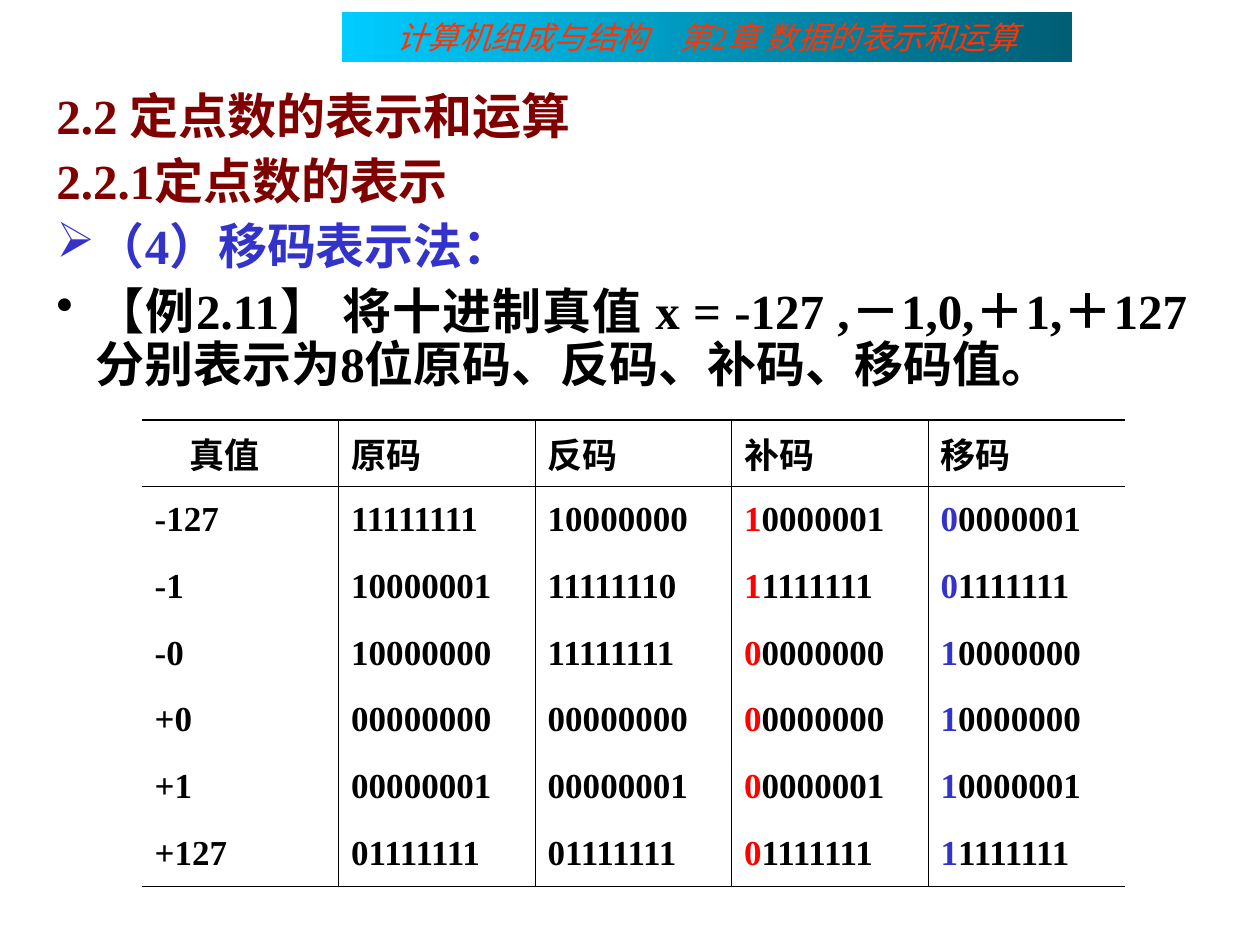
from lxml import etree
from pptx import Presentation
from pptx import util as u
from pptx.dml.color import RGBColor
from pptx.enum import shapes, text
from pptx.oxml import ns

BLACK = RGBColor(0x00, 0x00, 0x00)
RED = RGBColor(0xFF, 0x00, 0x00)
BLUE = RGBColor(0x33, 0x33, 0xCC)
MAROON = RGBColor(0x80, 0x00, 0x00)
ORANGE = RGBColor(0xFF, 0x33, 0x00)
CYAN = RGBColor(0x00, 0xCC, 0xFF)
TEAL = RGBColor(0x00, 0x5E, 0x75)

HEADINGS = ["　真值", "原码", "反码", "补码", "移码"]
CODES = [
    ["-127", "11111111", "10000000", "10000001", "00000001"],
    ["-1", "10000001", "11111110", "11111111", "01111111"],
    ["-0", "10000000", "11111111", "00000000", "10000000"],
    ["+0", "00000000", "00000000", "00000000", "10000000"],
    ["+1", "00000001", "00000001", "00000001", "10000001"],
    ["+127", "01111111", "01111111", "01111111", "11111111"],
]
SIGN_COLORS = {3: RED, 4: BLUE}
THIN, THICK = 0.45, 0.96


def add_text(paragraph, words, font="Times New Roman", size=20, color=BLACK,
             bold=True, italic=False):
    run = paragraph.add_run()
    run.text = words
    run.font.name = font
    run.font.size = u.Pt(size)
    run.font.color.rgb = color
    run.font.bold = bold
    run.font.italic = italic


def add_element(parent, tag, **attributes):
    return etree.SubElement(parent, ns.qn(tag), attributes)


class Lesson:
    def __init__(self, slide, indent=22.5, body_size=28, gap=7):
        self.slide = slide
        self.indent = indent
        self.body_size = body_size
        self.gap = gap

    def banner(self, words, left, top, width, height):
        banner = self.slide.shapes.add_shape(
            shapes.MSO_SHAPE.RECTANGLE, u.Pt(left), u.Pt(top), u.Pt(width), u.Pt(height))
        banner.shadow.inherit = False
        banner.line.fill.background()
        banner.fill.gradient()
        banner.fill.gradient_angle = 180
        for stop, color, position in zip(banner.fill.gradient_stops, (TEAL, CYAN), (0, 1)):
            stop.color.rgb = color
            stop.position = position
        frame = banner.text_frame
        frame.word_wrap = True
        frame.vertical_anchor = text.MSO_ANCHOR.MIDDLE
        frame.paragraphs[0].alignment = text.PP_ALIGN.CENTER
        add_text(frame.paragraphs[0], words, size=18, color=ORANGE, bold=False, italic=True)

    def outline(self, points, left, top, width, height):
        box = self.slide.shapes.add_textbox(u.Pt(left), u.Pt(top), u.Pt(width), u.Pt(height))
        frame = box.text_frame
        frame.word_wrap = True
        for index, (words, color, bullet) in enumerate(points):
            paragraph = frame.add_paragraph() if index else frame.paragraphs[0]
            paragraph.alignment = text.PP_ALIGN.JUSTIFY
            paragraph.line_spacing = 0.9
            if index:
                paragraph.space_before = u.Pt(self.gap)
            properties = paragraph._p.get_or_add_pPr()
            properties.set("marL", str(u.Pt(self.indent)))
            properties.set("indent", str(-u.Pt(self.indent)))
            if bullet:
                bullet_color = add_element(properties, "a:buClr")
                add_element(bullet_color, "a:srgbClr", val=str(color))
                add_element(properties, "a:buChar", char=bullet)
            else:
                add_element(properties, "a:buNone")
            add_text(paragraph, words, size=self.body_size, color=color)

    def border(self, cell, side, width):
        line = add_element(cell._tc.get_or_add_tcPr(), f"a:ln{side}", w=str(u.Pt(width)))
        if width:
            fill = add_element(line, "a:solidFill")
            add_element(fill, "a:srgbClr", val=str(BLACK))
        else:
            add_element(line, "a:noFill")

    def code_table(self, rows, left, top, width, height):
        last_row, last_column = len(rows) - 1, len(rows[0]) - 1
        table = self.slide.shapes.add_table(
            len(rows), len(rows[0]), u.Pt(left), u.Pt(top), u.Pt(width), u.Pt(height)).table
        table.first_row = table.horz_banding = False
        for r, row in enumerate(rows):
            for c, words in enumerate(row):
                cell = table.cell(r, c)
                cell.vertical_anchor = text.MSO_ANCHOR.MIDDLE
                self.border(cell, "L", THIN if c else 0)
                self.border(cell, "R", THIN if c < last_column else 0)
                self.border(cell, "T", {0: THICK, 1: THIN}.get(r, 0))
                self.border(cell, "B", {0: THIN, last_row: THICK}.get(r, 0))
                cell.fill.background()
                paragraph = cell.text_frame.paragraphs[0]
                if r and c in SIGN_COLORS:
                    add_text(paragraph, words[0], color=SIGN_COLORS[c])
                    words = words[1:]
                add_text(paragraph, words)


def main():
    deck = Presentation()
    deck.slide_width, deck.slide_height = u.Pt(720), u.Pt(540)
    lesson = Lesson(deck.slides.add_slide(deck.slide_layouts[6]))
    lesson.banner("计算机组成与结构　第2章 数据的表示和运算", 195.5, 6.8, 417, 28.8)
    lesson.outline([
        ("2.2 定点数的表示和运算", MAROON, None),
        ("2.2.1定点数的表示", MAROON, None),
        ("（4）移码表示法：", BLUE, "➢"),
        ("【例2.11】 将十进制真值 x = -127 ,－1,0,＋1,＋127"
         "分别表示为8位原码、反码、补码、移码值。", BLACK, "•"),
    ], 25.2, 49, 660.2, 221)
    lesson.code_table([HEADINGS] + CODES, 81.2, 240, 561.5, 266.7)
    deck.save("out.pptx")


if __name__ == "__main__":
    main()
